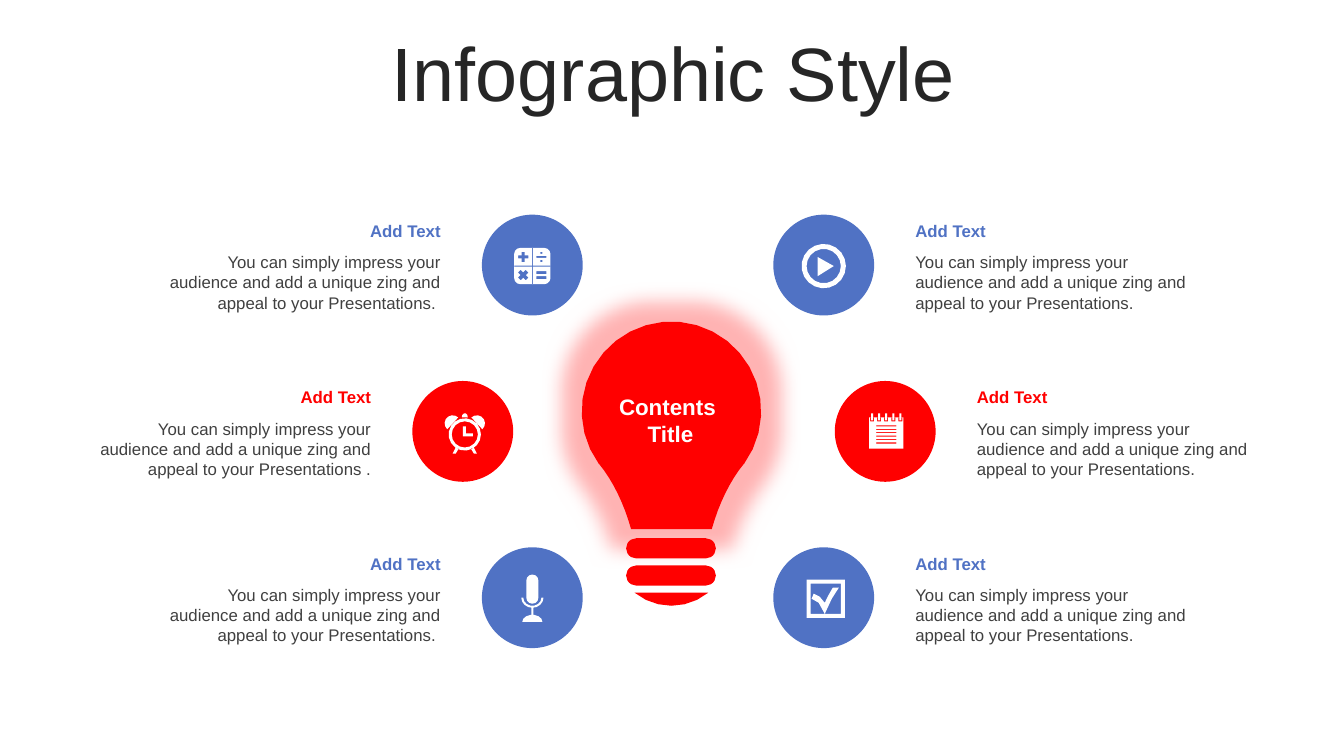
from math import cos, pi, radians, sin, sqrt

from lxml import etree
from pptx import Presentation
from pptx import util as u
from pptx.dml.color import RGBColor
from pptx.enum import shapes, text
from pptx.oxml.ns import qn

BLUE, RED, WHITE, DARK, GREY = "5072C4", "FF0000", "FFFFFF", "262626", "404040"
FONT = "Arial"
TITLE = "Infographic Style"
BULB_LINES = ["Contents ", "Title"]
HEADING = "Add Text"
BLURB = "You can simply impress your audience and add a unique zing and appeal to your Presentations"

# side, row, left of circle, colour, icon, icon offset from circle centre, end of blurb
TOPICS = [
    ("right", 0, 7.67, BLUE, "play", (0, 0.01), "."),
    ("right", 1, 8.28, RED, "notepad", (0.01, 0), "."),
    ("right", 2, 7.67, BLUE, "check", (0.02, 0.01), "."),
    ("left", 0, 4.78, BLUE, "calculator", (0, 0.01), ". "),
    ("left", 1, 4.09, RED, "alarm", (0.02, 0.03), " ."),
    ("left", 2, 4.78, BLUE, "microphone", (0, 0), ". "),
]
ROW_TOP, ROW_STEP, CIRCLE = 2.13, 1.65, 1
TEXT_WIDTH, TEXT_GAP = 2.99, 0.31
BULB_X, BULB_Y = 6.66, 4.08


# Outlines are lists of points in inches; one inside another cuts a hole.
def rect(x, y, w, h):
    return [(x, y), (x + w, y), (x + w, y + h), (x, y + h)]


def arc(x, y, rx, ry, start=0, end=360):
    """Points around (x, y), clockwise on the slide; larger arcs get more points."""
    steps = max(2, round(abs(end - start) / 360 * (6 + 28 * sqrt(rx))))
    angles = [radians(start + (end - start) * i / steps) for i in range(steps + 1)]
    return [(x + rx * cos(a), y + ry * sin(a)) for a in angles]


def rounded(x, y, w, h, r):
    corners = [(x + w - r, y + h - r), (x + r, y + h - r), (x + r, y + r), (x + w - r, y + r)]
    return [p for i, (cx, cy) in enumerate(corners)
            for p in arc(cx, cy, r, r, 90 * i, 90 * i + 90)]


def cross(x, y, span, thick, turn=0):
    a, b = span / 2, thick / 2
    quarter = [(a, -b), (a, b), (b, b)]
    turns = [radians(turn) + i * pi / 2 for i in range(4)]
    return [(x + px * cos(t) - py * sin(t), y + px * sin(t) + py * cos(t))
            for t in turns for px, py in quarter]


def bezier(*controls, steps=8):
    def point(t):
        weights = [(1 - t) ** 3, 3 * t * (1 - t) ** 2, 3 * t * t * (1 - t), t ** 3]
        return tuple(sum(w * c[k] for w, c in zip(weights, controls)) for k in (0, 1))
    return [point(i / steps) for i in range(steps + 1)]


def mirror(points):
    return [(-x, y) for x, y in reversed(points)]


ring_xs = [0.07 * (i - 2) for i in range(5)]
bell = arc(-0.12, -0.11, 0.08, 0.08, 133, 313)
leg = [(-0.09, 0.13), (-0.12, 0.19), (-0.09, 0.19), (-0.06, 0.14)]
ICONS = {
    "play": [arc(0, 0, 0.22, 0.22), arc(0, 0, 0.17, 0.17),
             [(-0.06, -0.09), (0.1, 0), (-0.06, 0.1)]],
    "notepad": [rect(-0.17, -0.14, 0.34, 0.31)]
    + [rect(-0.1, -0.06 + 0.17 / 5 * i, 0.2, 0.01) for i in range(6)]
    + [rect(x - 0.02, -0.14, 0.04, 0.04) for x in ring_xs]
    + [rect(x - 0.01, -0.18, 0.02, 0.07) for x in ring_xs],
    "check": [rect(-0.19, -0.19, 0.38, 0.38), rect(-0.15, -0.15, 0.3, 0.3),
              [(-0.12, -0.05), (-0.06, -0.02), (-0.01, 0.04), (0.03, -0.04), (0.07, -0.11),
               (0.13, -0.11), (0.06, 0), (-0.01, 0.15), (-0.07, 0.04), (-0.14, 0)]],
    "calculator": [rounded(-0.18, -0.18, 0.36, 0.36, 0.06), cross(0, 0, 0.36, 0.01),
                   cross(-0.09, -0.09, 0.1, 0.03), cross(-0.09, 0.09, 0.11, 0.04, 45),
                   rect(0.04, -0.1, 0.1, 0.02), rect(0.08, -0.14, 0.02, 0.02),
                   rect(0.08, -0.06, 0.02, 0.02),
                   rect(0.04, 0.05, 0.1, 0.03), rect(0.04, 0.1, 0.1, 0.03)],
    "alarm": [arc(0, 0, 0.16, 0.16), arc(0, 0, 0.13, 0.13), bell, mirror(bell),
              leg, mirror(leg), arc(0, -0.17, 0.03, 0.04, 180, 360),
              [(-0.02, -0.08), (0.01, -0.08), (0.01, -0.01), (0.08, -0.01),
               (0.08, 0.02), (-0.02, 0.02)]],
    "microphone": [rounded(-0.06, -0.23, 0.12, 0.29, 0.06),
                   arc(0, 0, 0.11, 0.1, 0, 180) + arc(0, 0, 0.09, 0.08, 180, 0),
                   rect(-0.01, 0.1, 0.02, 0.07), arc(0, 0.24, 0.1, 0.07, 180, 360)],
}
neck = bezier((0.72, 0.52), (0.58, 0.69), (0.47, 0.92), (0.4, 1.17))
BULB_BODY = arc(0, 0, 0.89, 0.89, 144, 396) + neck + mirror(neck)
BULB_TIP = arc(0, 1.35, 0.58, 0.58, 51, 129)


def rgb(value):
    return RGBColor.from_string(value)


def paint(shape, colour):
    shape.shadow.inherit = False
    shape.fill.solid()
    shape.fill.fore_color.rgb = rgb(colour)
    shape.line.fill.background()
    return shape


def add_preset(slide, kind, x, y, w, h, colour):
    return paint(slide.shapes.add_shape(kind, *map(u.Inches, (x, y, w, h))), colour)


def add_outlines(slide, x, y, outlines, colour):
    """Draw the outlines around (x, y) as one freeform."""
    builder = None
    for outline in outlines:
        start, *rest = [(u.Inches(x + px), u.Inches(y + py)) for px, py in outline]
        if builder is None:
            builder = slide.shapes.build_freeform(*start)
        else:
            builder.move_to(*start)
        builder.add_line_segments(rest, close=True)
    return paint(builder.convert_to_shape(), colour)


def add_glow(shape, colour, radius, opacity):
    effects = shape._element.spPr.find(qn("a:effectLst"))
    glow = etree.SubElement(effects, qn("a:glow"), rad=str(int(radius)))
    tint = etree.SubElement(glow, qn("a:srgbClr"), val=colour)
    etree.SubElement(tint, qn("a:alpha"), val=str(opacity * 1000))


def write(shape, lines, size, colour, align, anchor, bold=False):
    frame = shape.text_frame
    frame.word_wrap = True
    frame.auto_size = text.MSO_AUTO_SIZE.NONE
    frame.vertical_anchor = anchor
    for i, line in enumerate(lines):
        paragraph = frame.add_paragraph() if i else frame.paragraphs[0]
        paragraph.alignment = align
        run = paragraph.add_run()
        run.text = line
        run.font.name, run.font.size, run.font.bold = FONT, u.Pt(size), bold
        run.font.color.rgb = rgb(colour)


def add_text(slide, x, y, w, h, *style, **more):
    write(slide.shapes.add_textbox(*map(u.Inches, (x, y, w, h))), *style, **more)


def add_bulb(slide):
    body = add_outlines(slide, BULB_X, BULB_Y, [BULB_BODY], RED)
    add_glow(body, RED, u.Pt(28), 30)
    for top in (5.34, 5.61):
        thread = add_preset(slide, shapes.MSO_SHAPE.ROUNDED_RECTANGLE, 6.21, top, 0.89, 0.2, RED)
        thread.adjustments[0] = 0.5
    add_outlines(slide, BULB_X, BULB_Y, [BULB_TIP], RED)
    add_text(slide, 5.94, 3.85, 1.42, 0.64, BULB_LINES, 16, WHITE,
             text.PP_ALIGN.CENTER, text.MSO_ANCHOR.MIDDLE, bold=True)


def add_topic(slide, side, row, left, colour, icon, offset, ending):
    top = ROW_TOP + ROW_STEP * row
    add_preset(slide, shapes.MSO_SHAPE.OVAL, left, top, CIRCLE, CIRCLE, colour)
    add_outlines(slide, left + CIRCLE / 2 + offset[0], top + CIRCLE / 2 + offset[1],
                 ICONS[icon], WHITE)
    if side == "right":
        text_left, align = left + CIRCLE + TEXT_GAP, text.PP_ALIGN.LEFT
    else:
        text_left, align = left - TEXT_GAP - TEXT_WIDTH, text.PP_ALIGN.RIGHT
    add_text(slide, text_left, top + 0.32, TEXT_WIDTH, 0.71, [BLURB + ending], 12, GREY,
             align, text.MSO_ANCHOR.TOP)
    add_text(slide, text_left, top + 0.01, TEXT_WIDTH, 0.3, [HEADING], 12, colour,
             align, text.MSO_ANCHOR.MIDDLE, bold=True)


def main():
    deck = Presentation()
    deck.slide_width, deck.slide_height = u.Inches(13.33), u.Inches(7.5)
    slide = deck.slides.add_slide(deck.slide_layouts[5])
    title = slide.shapes.title
    title.left, title.top, title.width, title.height = map(u.Inches, (0.35, 0.37, 12.66, 0.79))
    write(title, [TITLE], 54, DARK, text.PP_ALIGN.CENTER, text.MSO_ANCHOR.MIDDLE)
    title.text_frame.paragraphs[0].line_spacing = 0.9
    add_bulb(slide)
    for topic in TOPICS:
        add_topic(slide, *topic)
    deck.save("out.pptx")


if __name__ == "__main__":
    main()
